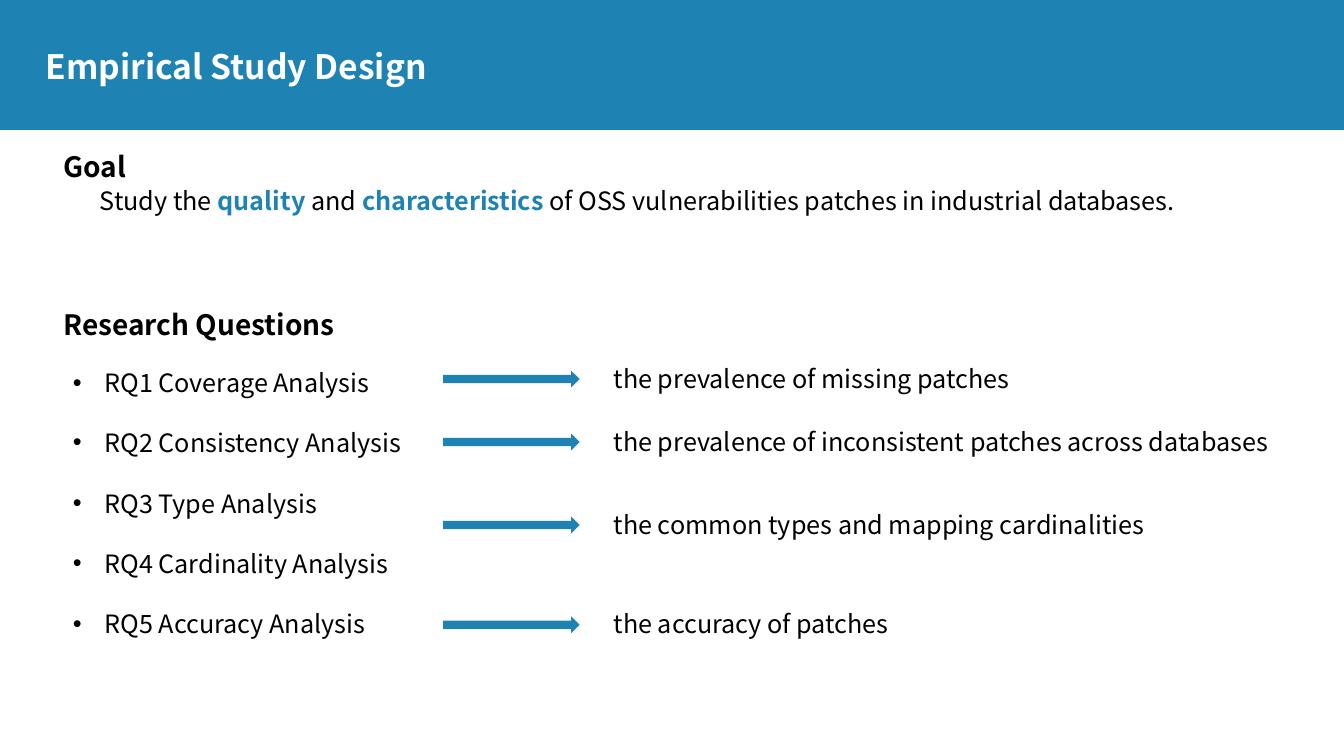
from pptx import Presentation
from pptx import util as u
from pptx.dml.color import RGBColor
from pptx.enum import shapes, text
from pptx.oxml import parse_xml
from pptx.oxml.ns import nsdecls

PX = 9525  # EMU per px, at 96 px to the inch
FONT = "Noto Sans CJK SC"
COLORS = {
    "blue": RGBColor.from_string("1E83B3"),
    "white": RGBColor.from_string("FFFFFF"),
    "black": RGBColor.from_string("000000"),
}

deck = Presentation()
deck.slide_width, deck.slide_height = 1280 * PX, 720 * PX
page = deck.slides.add_slide(deck.slide_layouts[6])
page.background.fill.solid()
page.background.fill.fore_color.rgb = COLORS["blue"]


def add_filled(kind, left, top, width, height, color):
    shape = page.shapes.add_shape(kind, left * PX, top * PX, width * PX, height * PX)
    shape.shadow.inherit = False
    shape.fill.solid()
    shape.fill.fore_color.rgb = COLORS[color]
    shape.line.fill.background()


def add_text(left, top, width, height, spans, size=18, color="black", heading=False, bullet=False):
    """Add one paragraph of (words, highlighted) spans and return it."""
    box = page.shapes.add_textbox(left * PX, top * PX, width * PX, height * PX)
    frame = box.text_frame
    frame.word_wrap = True
    para = frame.paragraphs[0]
    if heading:
        frame.vertical_anchor = text.MSO_ANCHOR.MIDDLE
        para.line_spacing = 0.9
    else:
        frame.auto_size = text.MSO_AUTO_SIZE.SHAPE_TO_FIT_TEXT
    if bullet:
        props = para._p.get_or_add_pPr()
        props.set("marL", str(30 * PX))
        props.set("indent", str(-30 * PX))
        props.append(parse_xml(f'<a:buFont {nsdecls("a")} typeface="Arial"/>'))
        props.append(parse_xml(f'<a:buChar {nsdecls("a")} char="•"/>'))
    para.font.name, para.font.size = FONT, u.Pt(size)
    para.font.bold = heading
    para.font.color.rgb = COLORS[color]
    for words, highlighted in spans:
        span = para.add_run()
        span.text = words
        if highlighted:
            span.font.bold = True
            span.font.color.rgb = COLORS["blue"]
    return para


# Header and body area
add_filled(shapes.MSO_SHAPE.RECTANGLE, 0, 124, 1280, 596, "white")
add_text(34, 27, 1209, 76, [("Empirical Study Design", False)], 24, "white", heading=True)

# Goal
add_text(51, 138, 820, 45, [("Goal", False)], 20, heading=True)
goal = add_text(0, 172, 1214, 38, [
    ("Study the ", False),
    ("quality", True),
    (" and ", False),
    ("characteristics ", True),
    ("of OSS vulnerabilities patches in industrial databases.", False),
])
goal.alignment = text.PP_ALIGN.CENTER

# Research questions
add_text(51, 288, 316, 45, [("Research Questions", False)], 20, heading=True)
topics = ["Coverage", "Consistency", "Type", "Cardinality", "Accuracy"]
for index, topic in enumerate(topics):
    question = f"RQ{index + 1} {topic} Analysis"
    add_text(60, 345 + index * 115 // 2, 344, 38, [(question, False)], bullet=True)

# What each question looks into
findings = [
    (341, "the prevalence of missing patches"),
    (401, "the prevalence of inconsistent patches across databases"),
    (480, "the common types and mapping cardinalities"),
    (575, "the accuracy of patches"),
]
for top, finding in findings:
    add_filled(shapes.MSO_SHAPE.RIGHT_ARROW, 422, top + 12, 130, 16, "blue")
    add_text(575, top, 690, 38, [(finding, False)])

deck.save("out.pptx")
